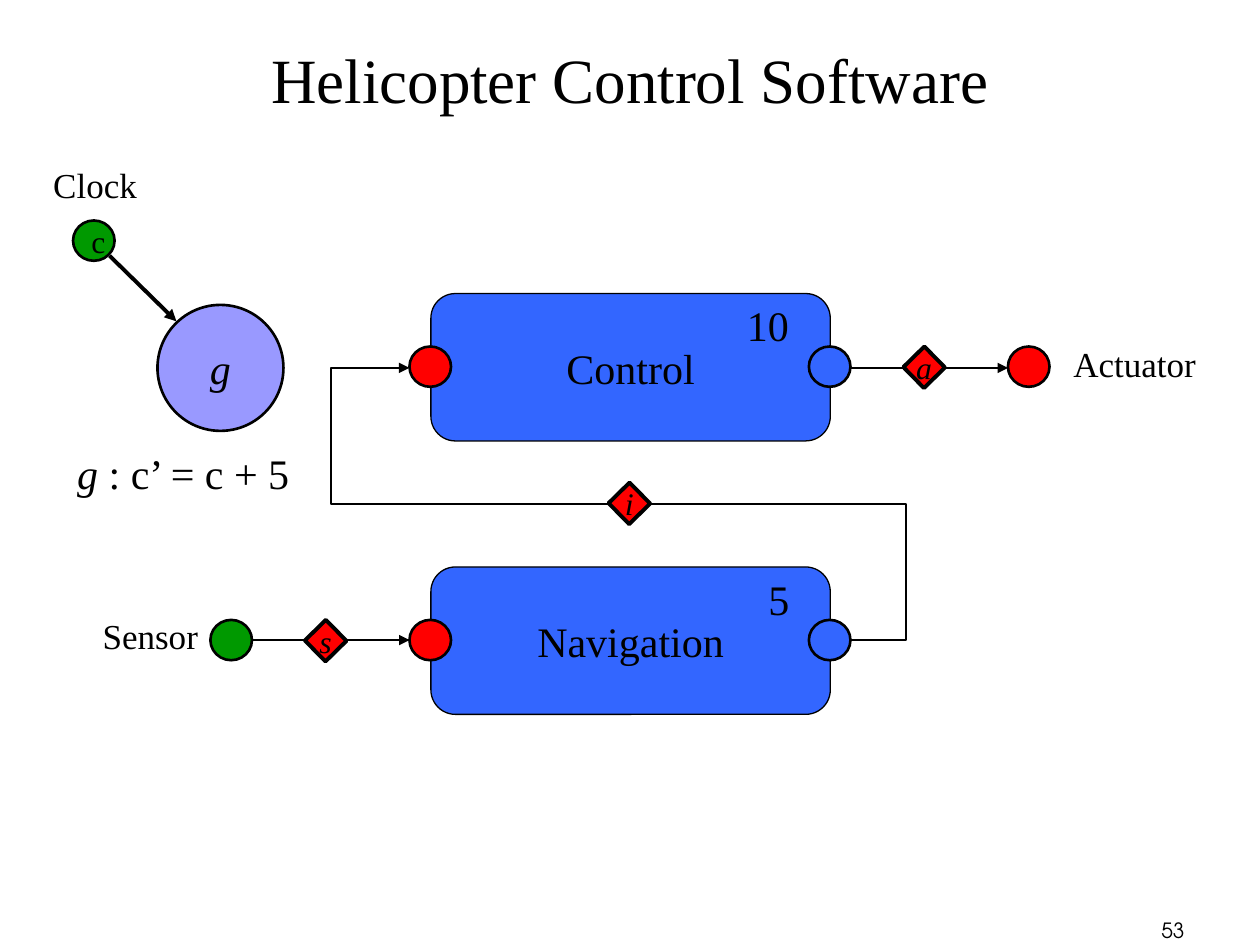
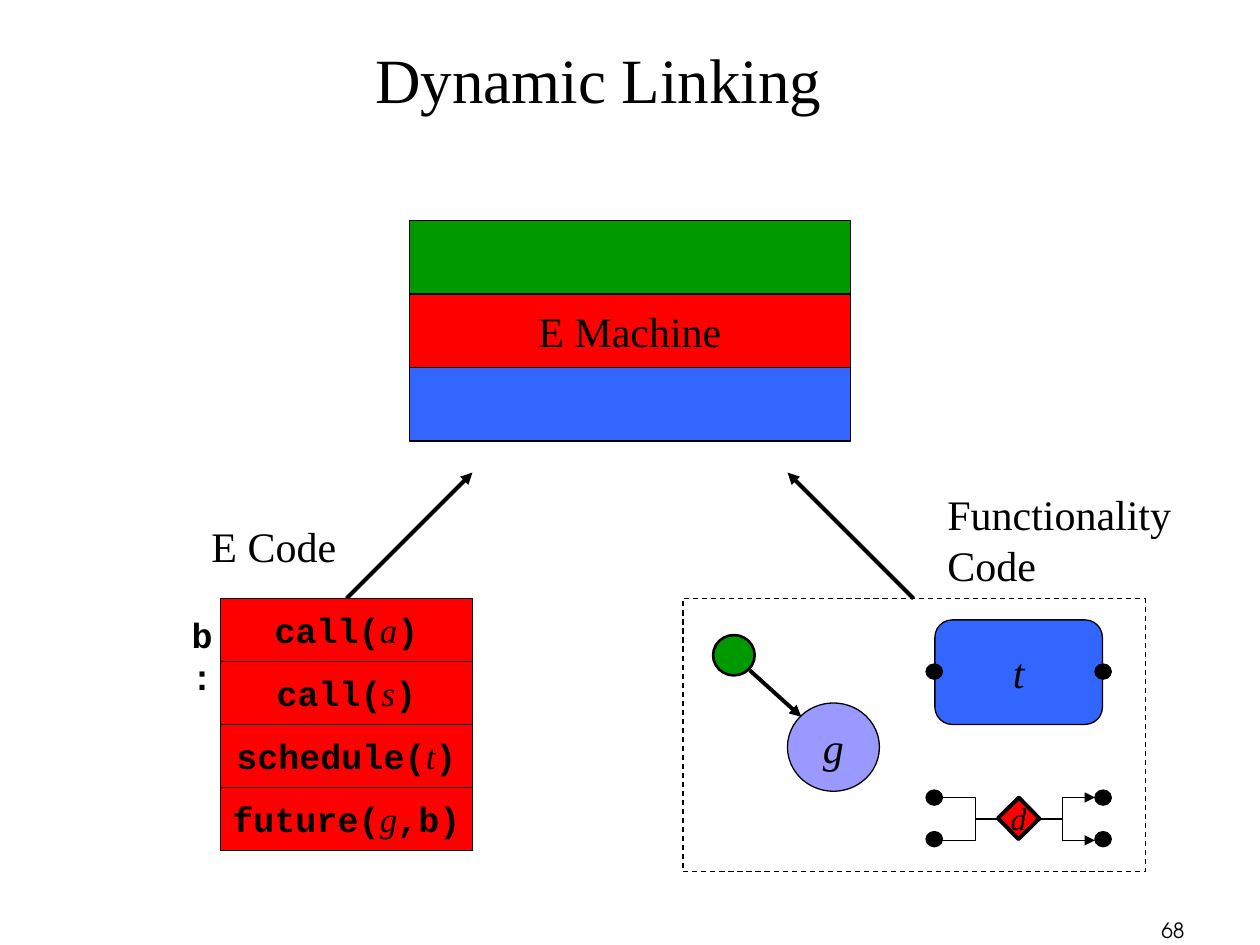
from dataclasses import dataclass
from itertools import product

from lxml import etree
from pptx import Presentation
from pptx.dml.color import RGBColor
from pptx.enum.dml import MSO_LINE
from pptx.enum.shapes import MSO_CONNECTOR, MSO_SHAPE
from pptx.enum.text import MSO_ANCHOR, PP_ALIGN
from pptx.oxml.ns import qn
from pptx.util import Inches, Pt

COLOURS = {
    "ink": "000000",
    "blue": "3366FF",
    "red": "FF0000",
    "green": "009900",
    "lilac": "9999FF",
}
SERIF = "Times New Roman"
MONO = "Courier New"
NUMBER_FONT = "TeX Gyre Adventor"

LEFT, CENTER, RIGHT = PP_ALIGN.LEFT, PP_ALIGN.CENTER, PP_ALIGN.RIGHT
TOP, MIDDLE = MSO_ANCHOR.TOP, MSO_ANCHOR.MIDDLE
STRAIGHT, ELBOW = MSO_CONNECTOR.STRAIGHT, MSO_CONNECTOR.ELBOW
OVAL, RECTANGLE, DIAMOND = MSO_SHAPE.OVAL, MSO_SHAPE.RECTANGLE, MSO_SHAPE.DIAMOND
TASK_BOX = MSO_SHAPE.FLOWCHART_ALTERNATE_PROCESS
DASH = MSO_LINE.DASH

PORT_WIDTH, PORT_HEIGHT = 0.33, 0.32


@dataclass(frozen=True)
class Span:
    text: str
    size: float = 24
    font: str = SERIF
    bold: bool = False
    italic: bool = False


@dataclass(frozen=True)
class Node:
    kind: int
    left: float
    top: float
    width: float
    height: float
    fill: str | None = None
    line_width: float = 0.75
    spans: tuple[Span, ...] = ()
    align: int = CENTER
    rotation: float = 0


@dataclass(frozen=True)
class Label:
    left: float
    top: float
    width: float
    height: float
    lines: tuple[tuple[Span, ...], ...]
    align: int = LEFT
    wrap: bool = True
    anchor: int = TOP


@dataclass(frozen=True)
class Link:
    start: tuple[float, float]
    end: tuple[float, float]
    line_width: float
    kind: int = STRAIGHT
    arrow: bool = True
    bends: tuple[int, ...] = ()


def colour(name: str) -> RGBColor:
    return RGBColor.from_string(COLOURS[name])


def write_spans(paragraph, spans: tuple[Span, ...], align: int) -> None:
    paragraph.alignment = align
    for span in spans:
        run = paragraph.add_run()
        run.text = span.text
        run.font.name = span.font
        run.font.size = Pt(span.size)
        run.font.bold = span.bold
        run.font.italic = span.italic
        run.font.color.rgb = colour("ink")


def draw_node(page, node: Node):
    shape = page.shapes.add_shape(
        node.kind, Inches(node.left), Inches(node.top), Inches(node.width), Inches(node.height)
    )
    shape.shadow.inherit = False
    shape.rotation = node.rotation
    if node.fill:
        shape.fill.solid()
        shape.fill.fore_color.rgb = colour(node.fill)
    else:
        shape.fill.background()
    shape.line.color.rgb = colour("ink")
    shape.line.width = Pt(node.line_width)
    if node.spans:
        frame = shape.text_frame
        frame.word_wrap = False
        frame.vertical_anchor = MIDDLE
        write_spans(frame.paragraphs[0], node.spans, node.align)
    return shape


def draw_label(page, label: Label) -> None:
    box = page.shapes.add_textbox(
        Inches(label.left), Inches(label.top), Inches(label.width), Inches(label.height)
    )
    frame = box.text_frame
    frame.word_wrap = label.wrap
    frame.vertical_anchor = label.anchor
    for index, spans in enumerate(label.lines):
        paragraph = frame.add_paragraph() if index else frame.paragraphs[0]
        write_spans(paragraph, spans, label.align)


def draw_link(page, link: Link) -> None:
    ends = [Inches(value) for value in (*link.start, *link.end)]
    connector = page.shapes.add_connector(link.kind, *ends)
    connector.line.color.rgb = colour("ink")
    connector.line.width = Pt(link.line_width)
    properties = connector._element.spPr
    if link.arrow:
        etree.SubElement(properties.find(qn("a:ln")), qn("a:tailEnd"), type="triangle")
    etree.SubElement(properties, qn("a:effectLst"))
    if link.bends:
        geometry = properties.find(qn("a:prstGeom"))
        geometry.set("prst", f"bentConnector{len(link.bends) + 2}")
        guides = geometry.find(qn("a:avLst"))
        for index, bend in enumerate(link.bends, 1):
            etree.SubElement(guides, qn("a:gd"), name=f"adj{index}", fmla=f"val {bend}")


def port(left: float, top: float, fill: str, spans: tuple[Span, ...] = ()) -> Node:
    return Node(OVAL, left, top, PORT_WIDTH, PORT_HEIGHT, fill, 1.5, spans, LEFT)


def driver(left: float, top: float, name: str) -> Node:
    return Node(DIAMOND, left, top, 0.33, 0.33, "red", 2.25, (Span(name, 18, italic=True),), rotation=0.6)


def instruction(before: str, argument: str, after: str) -> tuple[Span, ...]:
    return (
        Span(before, 20, MONO, bold=True),
        Span(argument, 20, italic=True),
        Span(after, 20, MONO, bold=True),
    )


def start_page(deck, title: str, title_width: float, number: str):
    page = deck.slides.add_slide(deck.slide_layouts[6])
    draw_label(page, Label(0.5, 0, title_width, 1.25, ((Span(title, 36),),), CENTER, anchor=MIDDLE))
    draw_label(page, Label(7.42, 7.23, 2.08, 0.25, ((Span(number, 12, NUMBER_FONT),),), RIGHT))
    return page


def build_helicopter_page(deck) -> None:
    page = start_page(deck, "Helicopter Control Software", 9, "53")
    for task, top in (("Navigation", 4.5), ("Control", 2.33)):
        draw_node(page, Node(TASK_BOX, 3.42, top, 3.17, 1.17, "blue", spans=(Span(task),)))
    for link in (
        Link((6.58, 5.08), (3.25, 2.92), 1.5, ELBOW, bends=(-18400, 50000, 118700)),
        Link((1.92, 5.08), (3.25, 5.08), 1.5),
        Link((6.67, 2.92), (8, 2.92), 1.5),
    ):
        draw_link(page, link)
    for left, top, fill in (
        (1.67, 4.92, "green"),
        (8, 2.75, "red"),
        (6.42, 4.92, "blue"),
        (3.25, 4.92, "red"),
        (3.25, 2.75, "red"),
        (6.42, 2.75, "blue"),
    ):
        draw_node(page, port(left, top, fill))
    for label in (
        Label(0.5, 4.83, 1.17, 0.44, ((Span("Sensor", 20),),), RIGHT),
        Label(8.42, 2.67, 1.42, 0.44, ((Span("Actuator", 20),),)),
        Label(5.83, 2.33, 0.67, 0.5, ((Span("10"),),)),
        Label(6, 4.5, 0.5, 0.5, ((Span("5"),),)),
        Label(0.17, 1.25, 1.17, 0.44, ((Span("Clock", 20),),), CENTER),
        Label(0.5, 3.5, 1.91, 0.5, ((Span("g", italic=True), Span(" : c’ = c + 5")),), CENTER, False),
    ):
        draw_label(page, label)
    for left, top, name in ((7.17, 2.75, "a"), (2.42, 4.92, "s"), (4.83, 3.83, "i")):
        draw_node(page, driver(left, top, name))
    draw_node(page, Node(OVAL, 1.25, 2.42, 1, 1, "lilac", 1.5, (Span("g", italic=True),)))
    draw_node(page, port(0.58, 1.75, "green", (Span("c", 18),)))
    draw_link(page, Link((0.87, 2.03), (1.4, 2.55), 2.25))


def build_linking_page(deck) -> None:
    page = start_page(deck, "Dynamic Linking", 8.5, "68")
    draw_node(page, Node(TASK_BOX, 7.42, 4.92, 1.33, 0.83, "blue", spans=(Span("t", italic=True),)))
    for top, left in product((5.27, 6.27, 6.6), (7.35, 8.69)):
        draw_node(page, Node(OVAL, left, top, 0.13, 0.12, "ink"))
    for height in (6.33, 6.67):
        draw_link(page, Link((7.48, height), (8, 6.5), 0.75, ELBOW, arrow=False))
        draw_link(page, Link((8.17, 6.5), (8.69, height), 0.75, ELBOW))
    for start, end in ((2.75, 3.75), (7.25, 6.25)):
        draw_link(page, Link((start, 4.75), (end, 3.75), 2.25))
    frame = draw_node(page, Node(RECTANGLE, 5.42, 4.75, 3.67, 2.17))
    frame.line.dash_style = DASH

    layers = (("green", ()), ("red", (Span("E Machine"),)), ("blue", ()))
    layer_height = 1.75 / len(layers)
    for index, (fill, spans) in enumerate(layers):
        top = 1.75 + index * layer_height
        draw_node(page, Node(RECTANGLE, 3.25, top, 3.5, layer_height, fill, spans=spans))
    draw_node(page, driver(7.92, 6.33, "d"))

    program = (("call(", "a", ")"), ("call(", "s", ")"), ("schedule(", "t", ")"), ("future(", "g", ",b)"))
    for index, parts in enumerate(program):
        top = 4.75 + index * 0.5
        draw_node(page, Node(RECTANGLE, 1.75, top, 2, 0.5, "red", spans=instruction(*parts)))
    for label in (
        Label(7.42, 3.83, 1.98, 0.9, ((Span("Functionality"),), (Span("Code"),)), wrap=False),
        Label(1.58, 4.08, 1.19, 0.5, ((Span("E Code"),),), wrap=False),
        Label(1.34, 4.82, 0.53, 0.44, ((Span("b:", 20, MONO, bold=True),),), CENTER, False),
    ):
        draw_label(page, label)
    draw_node(page, Node(OVAL, 6.25, 5.58, 0.73, 0.7, "lilac", spans=(Span("g", italic=True),)))
    draw_node(page, port(5.66, 5.04, "green"))
    draw_link(page, Link((5.95, 5.32), (6.36, 5.69), 2.25))


def main() -> None:
    deck = Presentation()
    deck.slide_width = Inches(10)
    deck.slide_height = Inches(7.5)
    build_helicopter_page(deck)
    build_linking_page(deck)
    deck.save("out.pptx")


if __name__ == "__main__":
    main()
